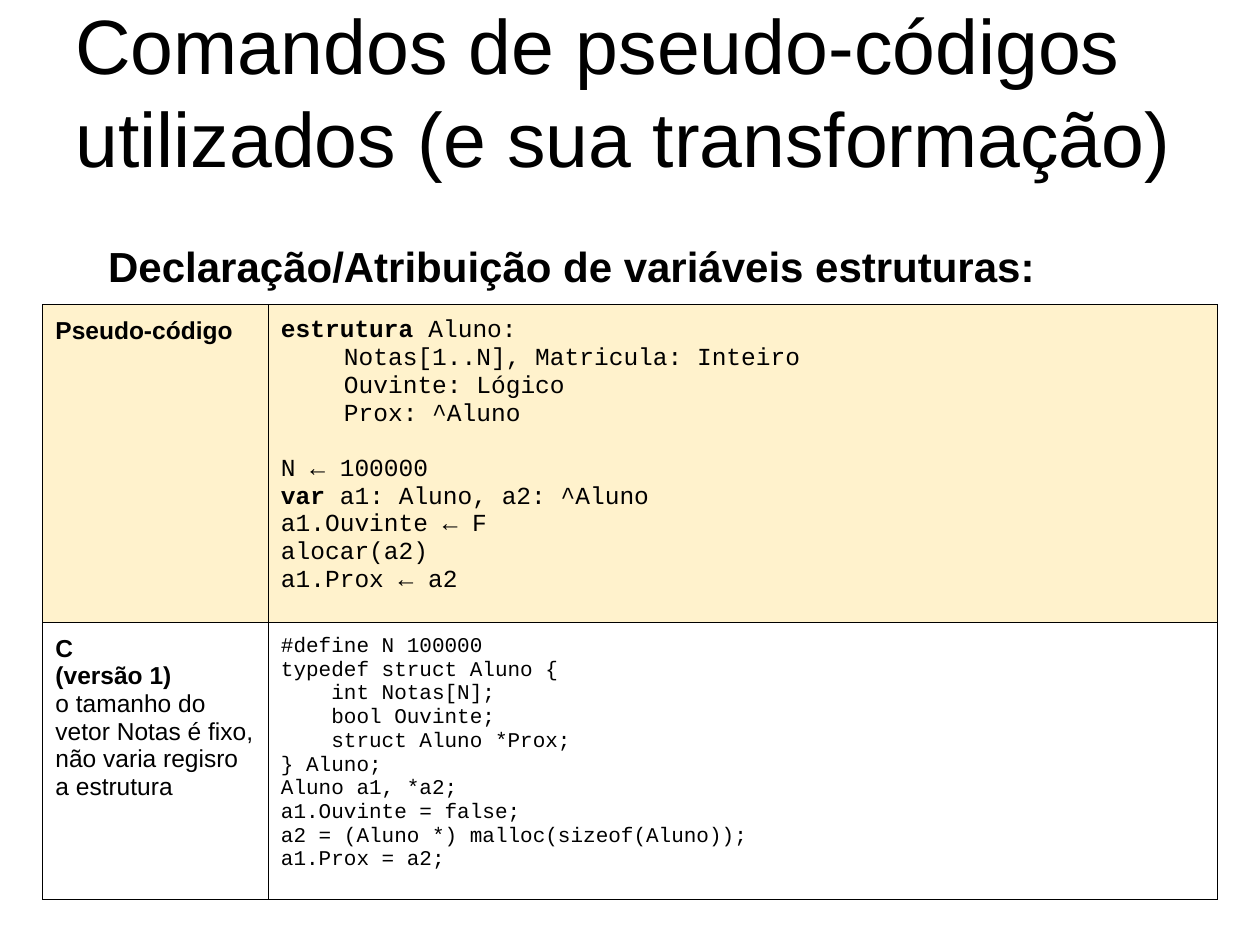
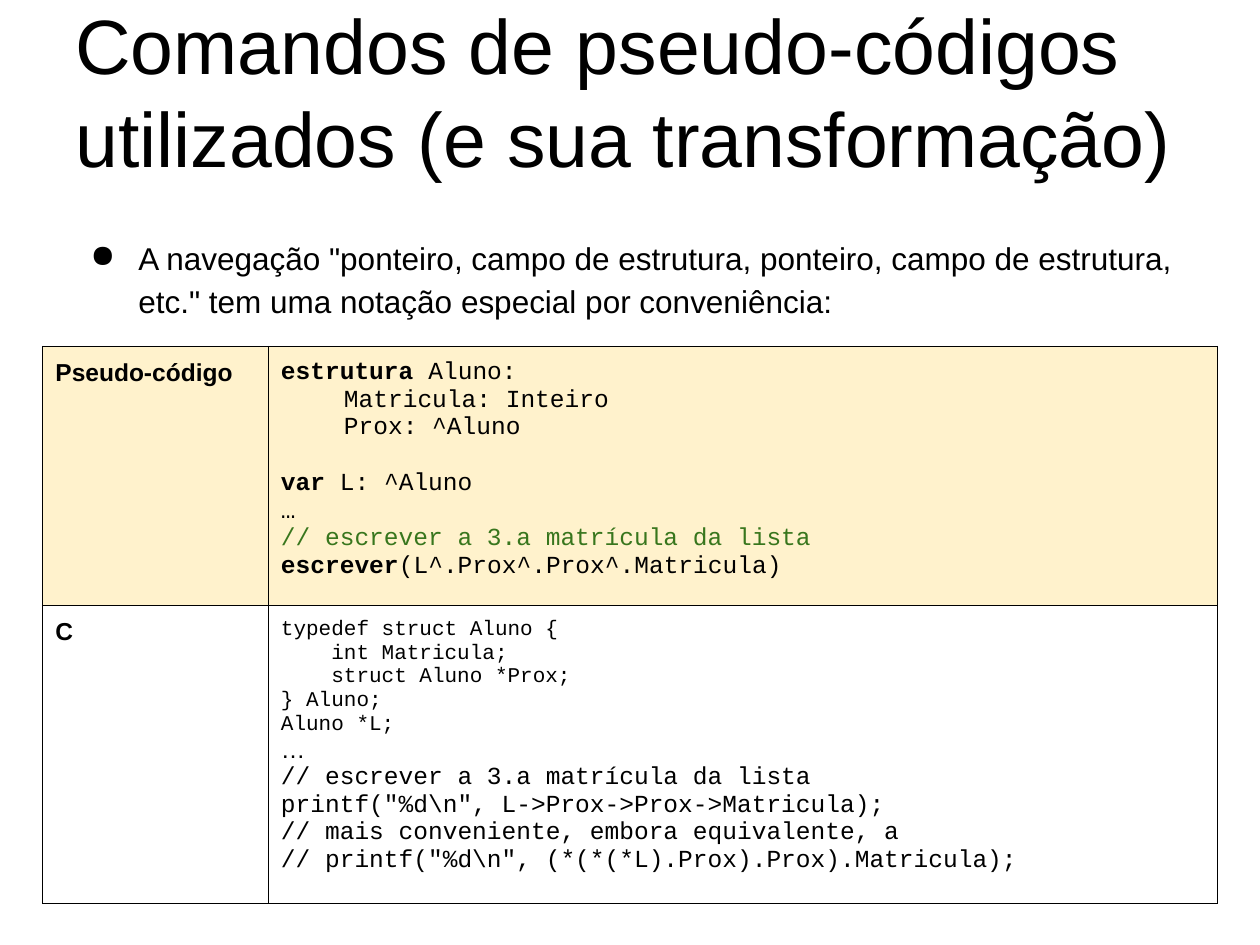
import pptx
import pptx.util
import pptx.dml.color
import pptx.enum.text
import pptx.oxml.ns
import lxml.etree

Inches = pptx.util.Inches
Pt = pptx.util.Pt
RGBColor = pptx.dml.color.RGBColor
Anchor = pptx.enum.text.MSO_ANCHOR
qn = pptx.oxml.ns.qn

BLACK = RGBColor(0x00, 0x00, 0x00)
WHITE = RGBColor(0xFF, 0xFF, 0xFF)
CREAM = RGBColor(0xFF, 0xF2, 0xCC)
GREEN = RGBColor(0x38, 0x76, 0x1D)
BODY_FONT = "Arial"
CODE_FONT = "Courier New"
INSET = Inches(0.1)
BLANK_LINE = Pt(15.8)
TITLE = "Comandos de pseudo-códigos utilizados (e sua transformação)"
TITLE_BOX = (0.5, 0.3, 9, 1.25)
TABLE_LEFT = 0.34
COLUMN_WIDTHS = (1.79, 7.53)

LABEL = dict(size=14, bold=True)
PSEUDO = dict(size=14, font=CODE_FONT)
C_CODE = dict(size=12, font=CODE_FONT)
KEYWORD = dict(PSEUDO, bold=True)
AFTER_GAP = dict(space_before=BLANK_LINE)
SAME_LINE = dict(PSEUDO, new_line=False)


def add_text(frame, text, size=14, font=BODY_FONT, color=BLACK, bold=False,
             new_line=True, space_before=None, line_spacing=None, bullet=None):
    paragraph = frame.paragraphs[-1]
    if new_line and paragraph.runs:
        paragraph = frame.add_paragraph()
    if space_before is not None:
        paragraph.space_before = space_before
    if line_spacing is not None:
        paragraph.line_spacing = line_spacing
    if bullet:
        properties = paragraph._p.get_or_add_pPr()
        properties.set("marL", str(Inches(0.5)))
        properties.set("indent", str(Inches(-0.38)))
        lxml.etree.SubElement(properties, qn("a:buChar")).set("char", bullet)
    run = paragraph.add_run()
    run.text = text
    run.font.size = Pt(size)
    run.font.name = font
    run.font.bold = bold
    run.font.color.rgb = color


def add_lines(frame, lines, **text_format):
    for line in lines:
        add_text(frame, line, **text_format)


def add_text_area(slide, box, text, anchor=Anchor.TOP, **text_format):
    frame = slide.shapes.add_textbox(*map(Inches, box)).text_frame
    frame.word_wrap = True
    frame.vertical_anchor = anchor
    frame.margin_left = frame.margin_right = INSET
    frame.margin_top = frame.margin_bottom = INSET
    add_text(frame, text, **text_format)


def add_borders(cell):
    properties = cell._tc.get_or_add_tcPr()
    for position, side in enumerate(("a:lnL", "a:lnR", "a:lnT", "a:lnB")):
        border = lxml.etree.Element(qn(side), w=str(Pt(0.75)))
        fill = lxml.etree.SubElement(border, qn("a:solidFill"))
        lxml.etree.SubElement(fill, qn("a:srgbClr")).set("val", str(BLACK))
        properties.insert(position, border)


def add_comparison(slide, top, row_heights):
    width, height = sum(COLUMN_WIDTHS), sum(row_heights)
    table = slide.shapes.add_table(
        2, 2, *map(Inches, (TABLE_LEFT, top, width, height))).table
    table.first_row = table.horz_banding = False
    for column, column_width in zip(table.columns, COLUMN_WIDTHS):
        column.width = Inches(column_width)
    for row, row_height, fill in zip(table.rows, row_heights, (CREAM, WHITE)):
        row.height = Inches(row_height)
        for cell in row.cells:
            cell.margin_left = cell.margin_right = INSET
            cell.margin_top = cell.margin_bottom = INSET
            cell.fill.solid()
            cell.fill.fore_color.rgb = fill
            add_borders(cell)
    add_text(table.cell(0, 0).text_frame, "Pseudo-código", **LABEL)
    add_text(table.cell(1, 0).text_frame, "C", **LABEL)
    pseudo = table.cell(0, 1).text_frame
    add_text(pseudo, "estrutura ", **KEYWORD)
    add_text(pseudo, "Aluno:", **SAME_LINE)
    return pseudo, table.cell(1, 0).text_frame, table.cell(1, 1).text_frame


def add_titled_slide(presentation):
    slide = presentation.slides.add_slide(presentation.slide_layouts[6])
    add_text_area(slide, TITLE_BOX, TITLE, anchor=Anchor.BOTTOM, size=44)
    return slide


def build_declaration(presentation):
    slide = add_titled_slide(presentation)
    add_text_area(slide, (0.76, 1.75, 7.92, 0.65),
                  "Declaração/Atribuição de variáveis estruturas:",
                  size=24, bold=True, line_spacing=1.15)
    pseudo, c_label, c_code = add_comparison(slide, 2.42, (2.4, 2.08))
    add_lines(pseudo, ("\tNotas[1..N], Matricula: Inteiro",
                       "\tOuvinte: Lógico",
                       "\tProx: ^Aluno"), **PSEUDO)
    add_text(pseudo, "N ← 100000", **PSEUDO, **AFTER_GAP)
    add_text(pseudo, "var ", **KEYWORD)
    add_text(pseudo, "a1: Aluno, a2: ^Aluno", **SAME_LINE)
    add_lines(pseudo, ("a1.Ouvinte ← F", "alocar(a2)", "a1.Prox ← a2"), **PSEUDO)
    add_text(c_label, "(versão 1)", **LABEL)
    add_text(c_label, "o tamanho do vetor Notas é fixo, não varia regisro a estrutura")
    add_lines(c_code, ("#define N 100000",
                       "typedef struct Aluno {",
                       "    int Notas[N];",
                       "    bool Ouvinte;",
                       "    struct Aluno *Prox;",
                       "} Aluno;",
                       "Aluno a1, *a2;",
                       "a1.Ouvinte = false;",
                       "a2 = (Aluno *) malloc(sizeof(Aluno));",
                       "a1.Prox = a2;"), **C_CODE)


def build_navigation(presentation):
    slide = add_titled_slide(presentation)
    add_text_area(slide, (0.5, 1.75, 9, 0.95),
                  'A navegação "ponteiro, campo de estrutura, ponteiro, campo de '
                  'estrutura, etc." tem uma notação especial por conveniência:',
                  size=18, line_spacing=1.15, bullet="●")
    pseudo, _, c_code = add_comparison(slide, 2.75, (1.96, 2.25))
    add_lines(pseudo, ("\tMatricula: Inteiro", "\tProx: ^Aluno"), **PSEUDO)
    add_text(pseudo, "var ", **KEYWORD, **AFTER_GAP)
    add_text(pseudo, "L: ^Aluno", **SAME_LINE)
    add_text(pseudo, "…", **PSEUDO)
    add_text(pseudo, "// escrever a 3.a matrícula da lista", color=GREEN, **PSEUDO)
    add_text(pseudo, "escrever", **KEYWORD)
    add_text(pseudo, "(L^.Prox^.Prox^.Matricula)", **SAME_LINE)
    add_lines(c_code, ("typedef struct Aluno {",
                       "    int Matricula;",
                       "    struct Aluno *Prox;",
                       "} Aluno;",
                       "Aluno *L;"), **C_CODE)
    add_text(c_code, "…")
    add_lines(c_code, ("// escrever a 3.a matrícula da lista",
                       'printf("%d\\n", L->Prox->Prox->Matricula);',
                       "// mais conveniente, embora equivalente, a",
                       '// printf("%d\\n", (*(*(*L).Prox).Prox).Matricula);'),
              **PSEUDO)


def main():
    presentation = pptx.Presentation()
    presentation.slide_width = Inches(10)
    presentation.slide_height = Inches(7.5)
    build_declaration(presentation)
    build_navigation(presentation)
    presentation.save("out.pptx")


if __name__ == "__main__":
    main()
